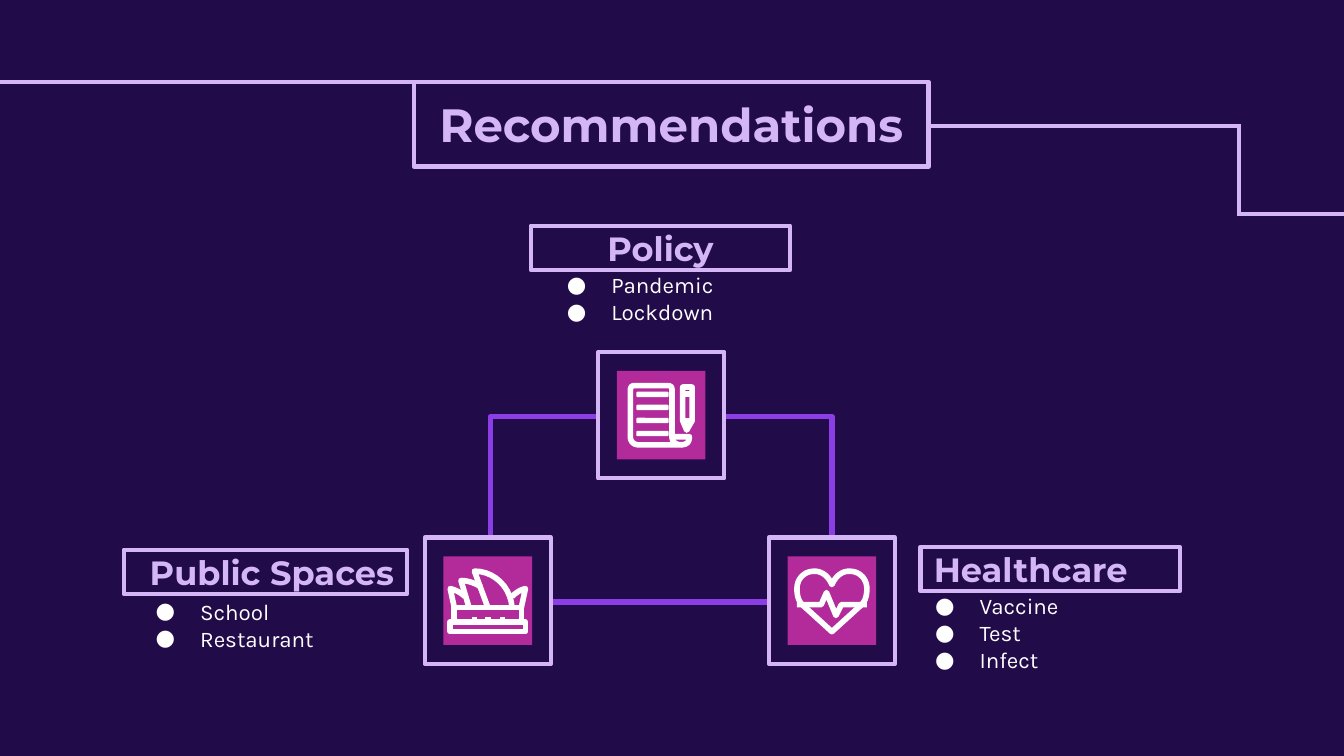
from dataclasses import dataclass

from lxml import etree
from pptx import Presentation
from pptx.dml.color import RGBColor
from pptx.enum import shapes, text
from pptx.oxml import ns
from pptx.util import Inches, Pt

NAVY = RGBColor(0x22, 0x0B, 0x49)
LILAC = RGBColor(0xD4, 0xB6, 0xF6)
PURPLE = RGBColor(0x8C, 0x3E, 0xE6)
MAGENTA = RGBColor(0xB3, 0x2A, 0x9A)
WHITE = RGBColor(0xFF, 0xFF, 0xFF)
LEFT, CENTER, RIGHT = text.PP_ALIGN.LEFT, text.PP_ALIGN.CENTER, text.PP_ALIGN.RIGHT
TOP, MIDDLE = text.MSO_ANCHOR.TOP, text.MSO_ANCHOR.MIDDLE

Point = tuple[float, float]
Box = tuple[float, float, float, float]


@dataclass
class Topic:
    heading: str
    heading_box: Box
    alignment: text.PP_ALIGN
    items: list[str]
    items_box: Box
    anchor: text.MSO_ANCHOR
    tile: Point


TOPICS = [
    Topic("Public Spaces", (0.92, 4.09, 2.11, 0.33), RIGHT,
          ["School", "Restaurant"], (0.89, 4.52, 2.05, 0.26), MIDDLE, (3.16, 4)),
    Topic("Healthcare", (6.85, 4.07, 1.93, 0.33), LEFT,
          ["Vaccine", "Test", "Infect"], (6.69, 4.31, 2.2, 0.57), TOP, (5.72, 4)),
    Topic("Policy", (3.95, 1.68, 1.93, 0.33), CENTER,
          ["Pandemic", "Lockdown"], (3.95, 1.92, 1.93, 0.57), TOP, (4.45, 2.62)),
]
HEADER_LINES = [
    ((-0.07, 0.61), (3.15, 0.61)),
    ((4.47, 0.94), (9.23, 0.94)),
    ((9.22, 1.59), (10, 1.59)),
    ((9.22, 0.94), (9.22, 1.61)),
]


def curve(start: Point, first: Point, second: Point, end: Point) -> list[Point]:
    """Points along a cubic curve."""
    steps = 10
    points = []
    for step in range(steps + 1):
        t = step / steps
        weights = ((1 - t) ** 3, 3 * t * (1 - t) ** 2, 3 * t * t * (1 - t), t ** 3)
        corners = (start, first, second, end)
        points.append((sum(w * p[0] for w, p in zip(weights, corners)),
                       sum(w * p[1] for w, p in zip(weights, corners))))
    return points


def set_line(shape, color: RGBColor, width: float) -> None:
    shape.line.color.rgb = color
    shape.line.width = Pt(width)
    etree.SubElement(shape.line._ln, ns.qn("a:round"))


def add_box(slide, box: Box, fill=None, line=None, width: float = 2.25,
            kind=shapes.MSO_SHAPE.RECTANGLE):
    shape = slide.shapes.add_shape(kind, *map(Inches, box))
    shape.shadow.inherit = False
    if fill is None:
        shape.fill.background()
    else:
        shape.fill.solid()
        shape.fill.fore_color.rgb = fill
    if line is None:
        shape.line.fill.background()
    else:
        set_line(shape, line, width)
    return shape


def set_frame(shape, anchor) -> None:
    frame = shape.text_frame
    frame.word_wrap = True
    frame.vertical_anchor = anchor
    frame.margin_left = frame.margin_right = Inches(0.1)
    frame.margin_top = frame.margin_bottom = Inches(0.1)


def set_font(paragraph, name: str, size: float, color: RGBColor, bold: bool) -> None:
    font = paragraph.font
    font.name, font.size, font.bold = name, Pt(size), bold
    font.color.rgb = color


def add_heading(slide, words: str, box: Box, size: float, alignment) -> None:
    shape = add_box(slide, box, NAVY, LILAC)
    set_frame(shape, MIDDLE)
    paragraph = shape.text_frame.paragraphs[0]
    paragraph.text = words
    paragraph.alignment = alignment
    set_font(paragraph, "Montserrat", size, LILAC, True)


def add_bullets(slide, topic: Topic) -> None:
    shape = slide.shapes.add_textbox(*map(Inches, topic.items_box))
    set_frame(shape, topic.anchor)
    shape.text_frame.text = "\n".join(topic.items)
    for paragraph in shape.text_frame.paragraphs:
        properties = paragraph._p.get_or_add_pPr()
        properties.set("marL", str(Inches(0.5)))
        properties.set("indent", str(Inches(-0.33)))
        color = etree.SubElement(properties, ns.qn("a:buClr"))
        etree.SubElement(color, ns.qn("a:srgbClr")).set("val", str(WHITE))
        etree.SubElement(properties, ns.qn("a:buFont")).set("typeface", "Karla")
        etree.SubElement(properties, ns.qn("a:buChar")).set("char", "●")
        set_font(paragraph, "Karla", 12, WHITE, False)


def add_line(slide, start: Point, end: Point) -> None:
    line = slide.shapes.add_connector(shapes.MSO_CONNECTOR.STRAIGHT,
                                      *map(Inches, start + end))
    set_line(line, LILAC, 2.25)
    etree.SubElement(line._element.spPr, ns.qn("a:effectLst"))


def add_stroke(slide, points: list[Point], close: bool = False) -> None:
    """A thick white outline, the building block of the icons."""
    start, *rest = [(Inches(x), Inches(y)) for x, y in points]
    builder = slide.shapes.build_freeform(*start)
    builder.add_line_segments(rest, close=close)
    shape = builder.convert_to_shape()
    shape.shadow.inherit = False
    shape.fill.background()
    set_line(shape, WHITE, 3)


def add_heart(slide) -> None:
    middle = 6.19
    half = (curve((middle, 4.35), (6.16, 4.28), (6.11, 4.25), (6.06, 4.25))
            + curve((6.06, 4.25), (5.98, 4.25), (5.93, 4.31), (5.93, 4.38))
            + curve((5.93, 4.38), (5.93, 4.43), (5.94, 4.47), (5.97, 4.5)))
    mirrored = [(2 * middle - x, y) for x, y in reversed(half)]
    add_stroke(slide, half + [(middle, 4.7)] + mirrored, close=True)
    add_stroke(slide, [(5.93, 4.5), (6.11, 4.5), (6.15, 4.41), (6.22, 4.58),
                       (6.26, 4.5), (6.45, 4.5)])


def add_scroll(slide) -> None:
    add_stroke(slide, curve((4.75, 3.31), (4.72, 3.31), (4.69, 3.29), (4.69, 3.25))
               + curve((4.69, 2.91), (4.69, 2.88), (4.7, 2.87), (4.72, 2.87))
               + curve((4.97, 2.87), (4.99, 2.87), (5, 2.88), (5, 2.9))
               + curve((5, 3.25), (5, 3.28), (5.02, 3.31), (5.07, 3.31)), close=True)
    add_stroke(slide, [(5, 3.25)]
               + curve((5.13, 3.25), (5.13, 3.29), (5.11, 3.31), (5.07, 3.31)))
    for row in range(4):
        add_box(slide, (4.74, 2.92 + 0.097 * row, 0.23, 0.03), WHITE, WHITE, 0.75,
                shapes.MSO_SHAPE.ROUNDED_RECTANGLE)
    # Pencil
    add_stroke(slide, [(5.08, 2.88), (5.15, 2.88), (5.15, 3.13), (5.11, 3.2),
                       (5.08, 3.13)], close=True)
    for y in (2.93, 3.13):
        add_stroke(slide, [(5.08, y), (5.15, y)])


def add_opera_house(slide) -> None:
    # Sails
    add_stroke(slide, [(3.38, 4.52)]
               + curve((3.35, 4.38), (3.39, 4.39), (3.43, 4.41), (3.46, 4.44)))
    add_stroke(slide, [(3.49, 4.52)]
               + curve((3.43, 4.32), (3.48, 4.32), (3.54, 4.34), (3.58, 4.37)))
    add_stroke(slide, [(3.63, 4.52)]
               + curve((3.53, 4.25), (3.68, 4.25), (3.8, 4.37), (3.81, 4.52)))
    add_stroke(slide, [(3.88, 4.52)]
               + curve((3.91, 4.38), (3.87, 4.39), (3.84, 4.41), (3.81, 4.44)))
    # Floors and windows
    add_box(slide, (3.38, 4.52, 0.5, 0.11), line=WHITE, width=3)
    add_box(slide, (3.35, 4.63, 0.56, 0.07), line=WHITE, width=3)
    for x in (3.53, 3.63, 3.74):
        add_stroke(slide, [(x, 4.59), (x, 4.61)])


def main() -> None:
    presentation = Presentation()
    presentation.slide_width = Inches(10)
    presentation.slide_height = Inches(10 * 9 / 16)
    slide = presentation.slides.add_slide(presentation.slide_layouts[6])
    slide.background.fill.solid()
    slide.background.fill.fore_color.rgb = NAVY

    # Header
    for start, end in HEADER_LINES:
        add_line(slide, start, end)
    add_heading(slide, "Recommendations", (3.08, 0.61, 3.83, 0.63), 25, CENTER)

    # Ring that joins the three topics
    add_box(slide, (3.65, 3.1, 2.54, 1.38), line=PURPLE, width=3)

    # Topics
    for topic in TOPICS:
        add_bullets(slide, topic)
        add_heading(slide, topic.heading, topic.heading_box, 18, topic.alignment)
        left, top = topic.tile
        add_box(slide, (left, top, 0.94, 0.94), NAVY, LILAC)
        add_box(slide, (left + 0.14, top + 0.14, 0.66, 0.66), MAGENTA)

    # Icons
    add_heart(slide)
    add_scroll(slide)
    add_opera_house(slide)
    presentation.save("out.pptx")


if __name__ == "__main__":
    main()
